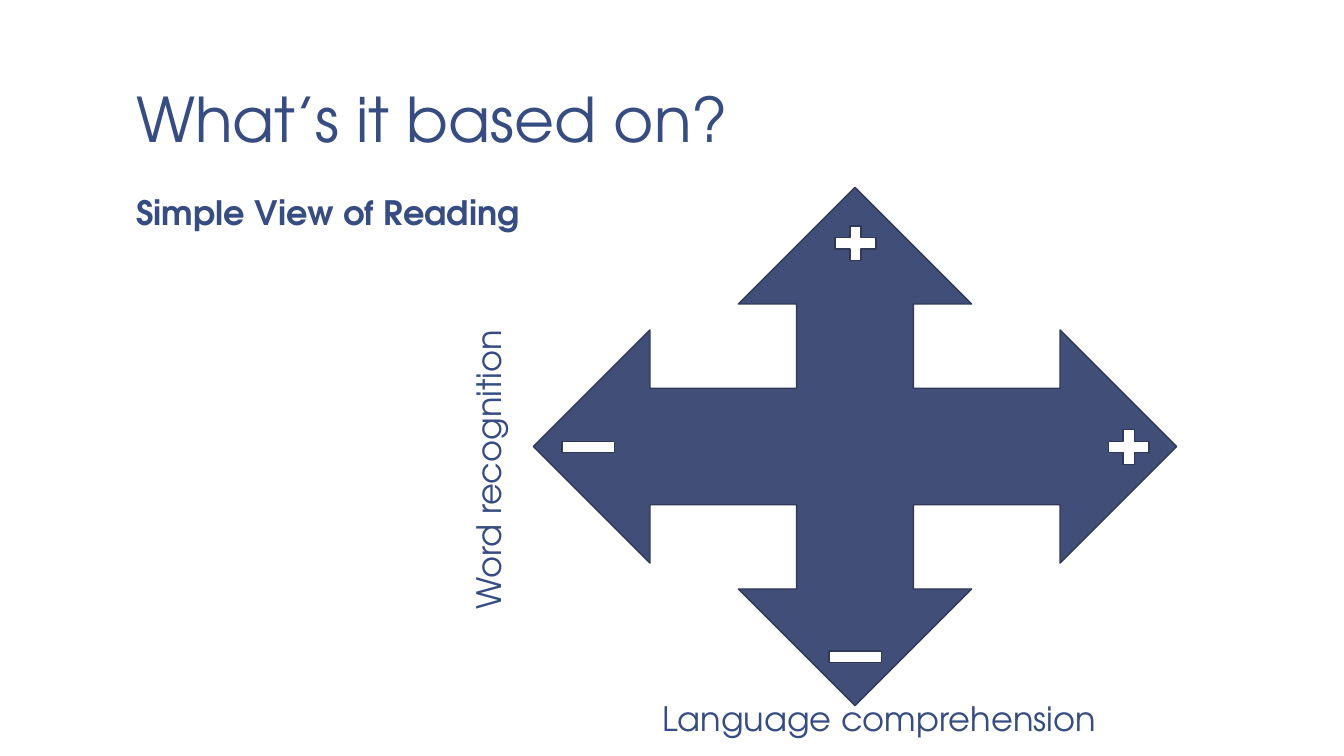
from pptx import Presentation
from pptx.dml.color import RGBColor
from pptx.enum.shapes import MSO_SHAPE
from pptx.enum.text import MSO_ANCHOR, MSO_AUTO_SIZE, PP_ALIGN
from pptx.oxml.ns import qn
from pptx.util import Emu, Pt

PX = 9144  # 100 px to the inch
FONT = "TeX Gyre Adventor"
INK, NAVY, EDGE, WHITE = "374C81", "414E77", "303A58", "FFFFFF"
ARROW, PLUS, MINUS = MSO_SHAPE.QUAD_ARROW, MSO_SHAPE.MATH_PLUS, MSO_SHAPE.MATH_MINUS
LEFT, CENTER = PP_ALIGN.LEFT, PP_ALIGN.CENTER
TOP, BOTTOM = MSO_ANCHOR.TOP, MSO_ANCHOR.BOTTOM
FIXED = MSO_AUTO_SIZE.NONE


def px(*vals):
    return [Emu(val * PX) for val in vals]


def color(code):
    return RGBColor.from_string(code)


def write(frame, text, size=24, bold=False, align=LEFT):
    frame.word_wrap = True
    frame.text = text
    para = frame.paragraphs[0]
    para.alignment = align
    para.space_before = Pt(0)
    font = para.font
    font.name, font.size, font.bold = FONT, Pt(size), bold
    font.color.rgb = color(INK)
    return para


def fill_holder(holder, box, text, size, spacing, anchor, bold=False):
    holder.left, holder.top, holder.width, holder.height = px(*box)
    frame = holder.text_frame
    frame.auto_size = FIXED
    frame.vertical_anchor = anchor
    frame.margin_left, frame.margin_top, frame.margin_right, frame.margin_bottom = px(13, 7, 13, 7)
    para = write(frame, text, size, bold)
    para.line_spacing = spacing
    return para


def drop_bullet(para):
    props = para._p.get_or_add_pPr()
    props.set("marL", "0")
    props.set("indent", "0")
    # The bullet element must come before the default run properties
    bullet = props.makeelement(qn("a:buNone"), {})
    props.insert_element_before(bullet, "a:tabLst", "a:defRPr", "a:extLst")


def add_label(slide, box, text, align=LEFT, turn=0):
    label = slide.shapes.add_textbox(*px(*box))
    label.rotation = turn
    write(label.text_frame, text, align=align)


def add_form(slide, kind, box, fill):
    form = slide.shapes.add_shape(kind, *px(*box))
    form.shadow.inherit = False
    form.fill.solid()
    form.fill.fore_color.rgb = color(fill)
    form.line.color.rgb = color(EDGE)
    form.line.width = Pt(1)


def add_sign(slide, kind, mid_x, mid_y):
    wide, high = (55 if kind == PLUS else 71), 47
    add_form(slide, kind, (mid_x - wide // 2, mid_y - high // 2, wide, high), WHITE)


def main():
    deck = Presentation()
    deck.slide_width, deck.slide_height = px(1333, 750)
    slide = deck.slides.add_slide(deck.slide_layouts[1])

    # Heading and subheading
    title, body = slide.placeholders
    fill_holder(title, (122, 8, 1111, 153), "What’s it based on?", 44, 0.85, BOTTOM)
    para = fill_holder(body, (122, 186, 1111, 489), "Simple View of Reading", 24, 0.95, TOP, True)
    drop_bullet(para)

    # Crossed axes with a sign at each tip
    add_form(slide, ARROW, (529, 186, 638, 514), NAVY)
    mid_x, mid_y = 848, 443
    add_sign(slide, PLUS, mid_x, 241)
    add_sign(slide, PLUS, 1119, mid_y)
    add_sign(slide, MINUS, 583, mid_y)
    add_sign(slide, MINUS, mid_x, 651)

    # Axis names
    add_label(slide, (647, 687, 500, 50), "Language comprehension")
    add_label(slide, (314, 441, 340, 50), "Word recognition", CENTER, 270)

    deck.save("out.pptx")


if __name__ == "__main__":
    main()
